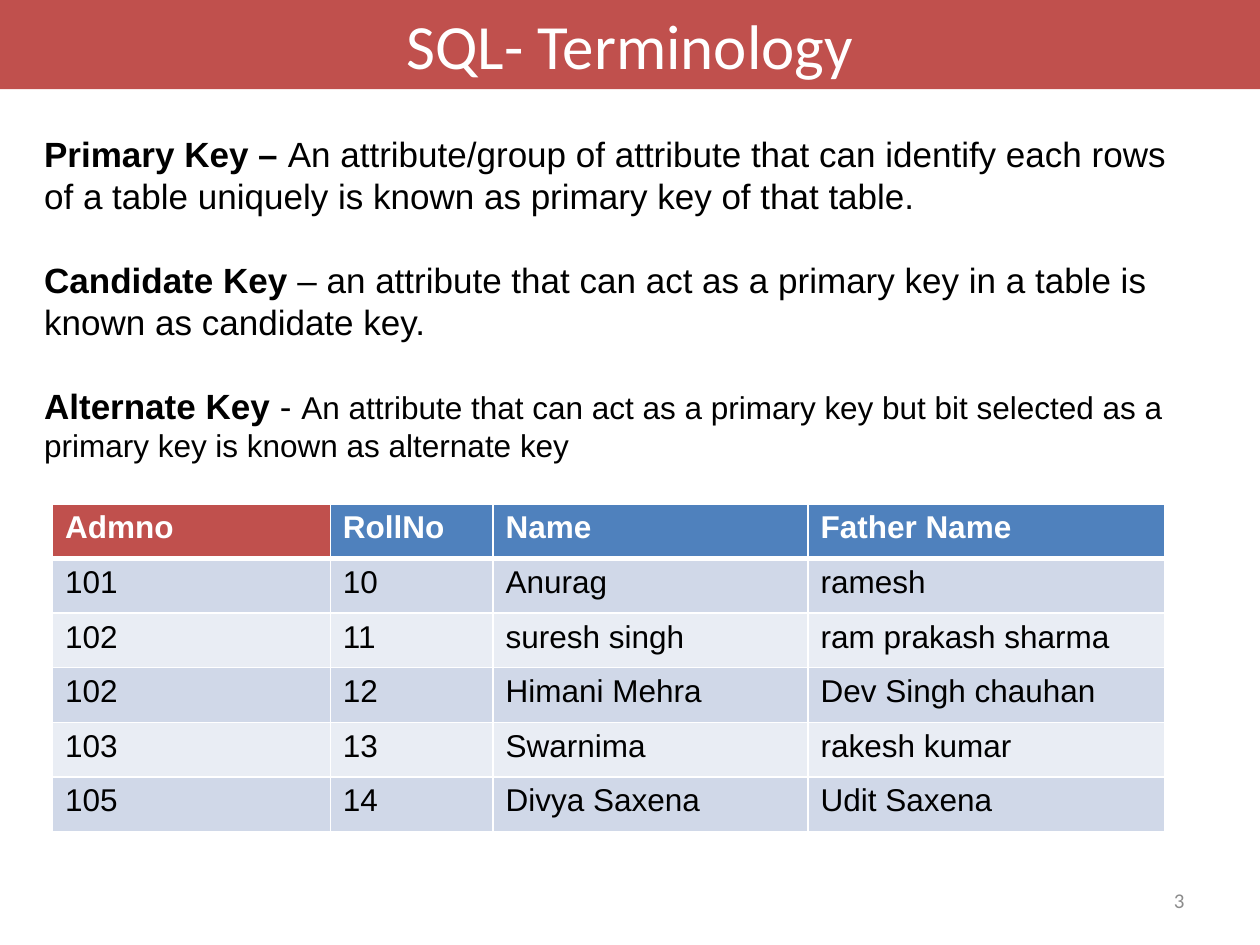
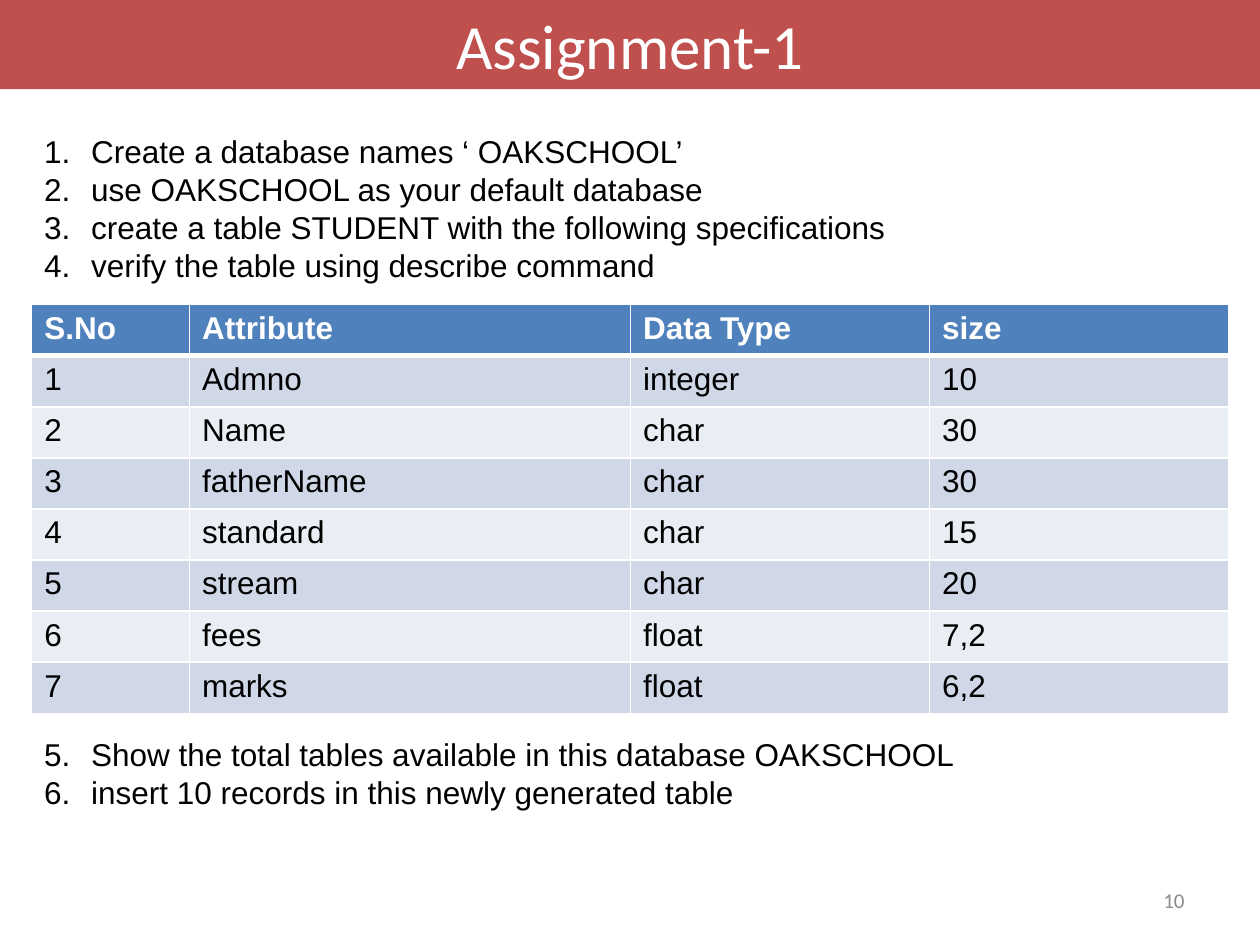
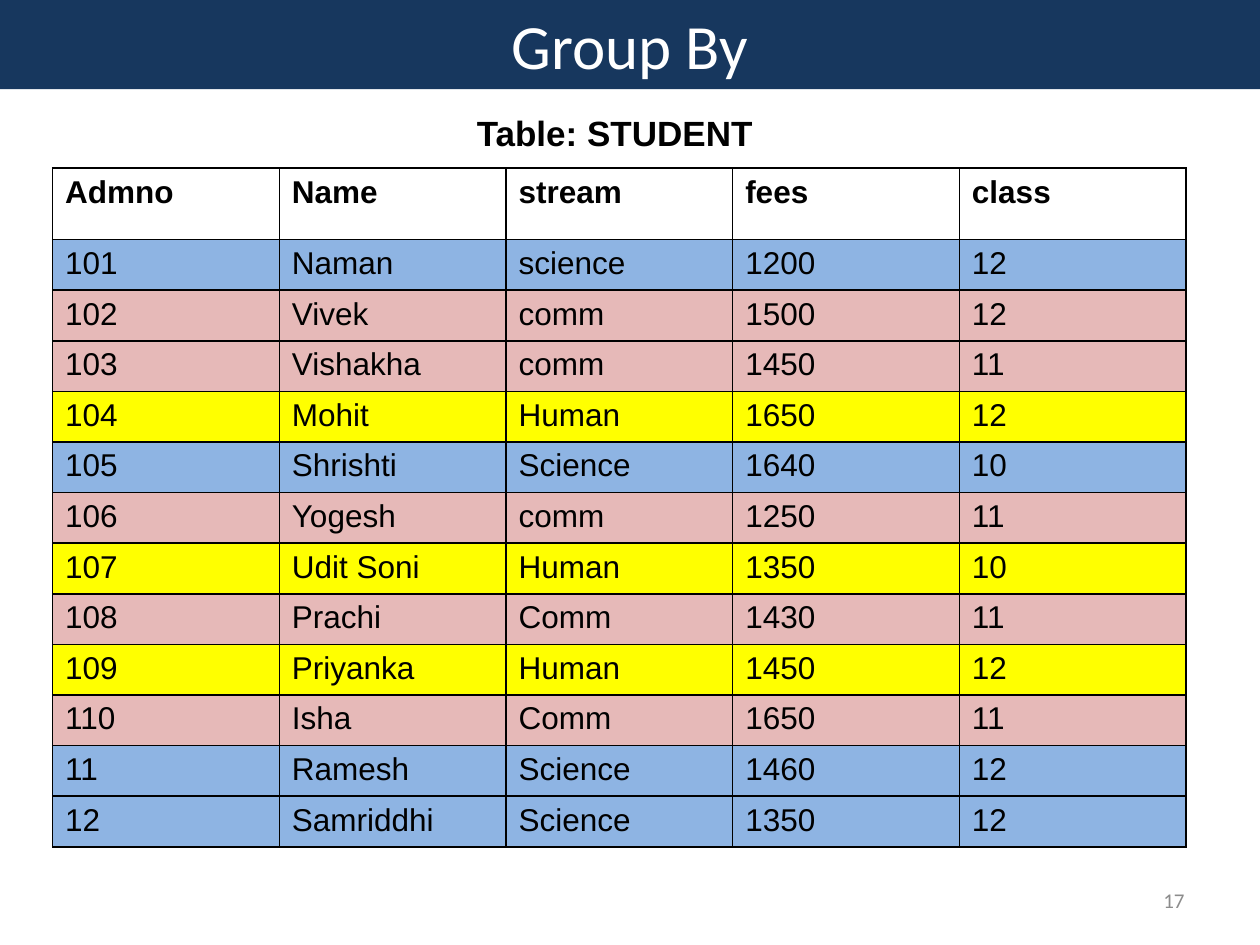
from dataclasses import dataclass

from lxml import etree
from pptx import Presentation
from pptx import util as u
from pptx.dml import color
from pptx.enum import shapes, text
from pptx.oxml import ns


@dataclass(frozen=True)
class Theme:
    heading_font: str = "Calibri"
    body_font: str = "Arial"
    red: str = "C0504D"
    navy: str = "17375E"
    blue: str = "4F81BD"
    band_dark: str = "D0D8E8"
    band_light: str = "E9EDF4"
    white: str = "FFFFFF"
    black: str = "000000"
    grey: str = "8C8C8C"
    title_size: int = 36
    lead_size: int = 20
    body_size: int = 18
    number_size: int = 12


THEME = Theme()
STREAM_FILLS = {"science": "8EB4E3", "comm": "E6B9B8", "human": "FFFF00"}

KEYS = [
    [("Primary Key – ", True, THEME.lead_size),
     ("An attribute/group of attribute that can identify each rows of a table "
      "uniquely is known as primary key of that table.", False, THEME.lead_size)],
    [("Candidate Key", True, THEME.lead_size),
     (" – an attribute that can act as a primary key in a table is known as "
      "candidate key.", False, THEME.lead_size)],
    [("Alternate Key", True, THEME.lead_size),
     (" - ", False, THEME.lead_size),
     ("An attribute that can act as a primary key but bit selected as a "
      "primary key is known as alternate key", False, THEME.body_size)],
]
ADMISSIONS = [
    ("Admno", "RollNo", "Name", "Father Name"),
    ("101", "10", "Anurag", "ramesh"),
    ("102", "11", "suresh singh", "ram prakash sharma"),
    ("102", "12", "Himani Mehra", "Dev Singh chauhan"),
    ("103", "13", "Swarnima", "rakesh kumar"),
    ("105", "14", "Divya Saxena", "Udit Saxena"),
]
TASKS_BEFORE_TABLE = [
    "Create a database names ‘ OAKSCHOOL’",
    "use OAKSCHOOL as your default database",
    "create a table STUDENT with the following specifications",
    "verify the table using describe command",
]
TASKS_AFTER_TABLE = [
    "Show the total tables available in this database OAKSCHOOL",
    "insert 10 records in this newly generated table",
]
ATTRIBUTES = [
    ("S.No", "Attribute", "Data Type", "size"),
    ("1", "Admno", "integer", "10"),
    ("2", "Name", "char", "30"),
    ("3", "fatherName", "char", "30"),
    ("4", "standard", "char", "15"),
    ("5", "stream", "char", "20"),
    ("6", "fees", "float", "7,2"),
    ("7", "marks", "float", "6,2"),
]
STUDENTS = [
    ("Admno", "Name", "stream", "fees", "class"),
    ("101", "Naman", "science", "1200", "12"),
    ("102", "Vivek", "comm", "1500", "12"),
    ("103", "Vishakha", "comm", "1450", "11"),
    ("104", "Mohit", "Human", "1650", "12"),
    ("105", "Shrishti", "Science", "1640", "10"),
    ("106", "Yogesh", "comm", "1250", "11"),
    ("107", "Udit Soni", "Human", "1350", "10"),
    ("108", "Prachi", "Comm", "1430", "11"),
    ("109", "Priyanka", "Human", "1450", "12"),
    ("110", "Isha", "Comm", "1650", "11"),
    ("11", "Ramesh", "Science", "1460", "12"),
    ("12", "Samriddhi", "Science", "1350", "12"),
]


def rgb(value):
    return color.RGBColor.from_string(value)


def format_run(run, size, fill=THEME.black, bold=False, font=THEME.body_font):
    run.font.name = font
    run.font.size = u.Pt(size)
    run.font.bold = bold
    run.font.color.rgb = rgb(fill)


def add_text_box(slide, left, top, width, height):
    shape = slide.shapes.add_textbox(u.Cm(left), u.Cm(top), u.Cm(width), u.Cm(height))
    shape.text_frame.word_wrap = True
    return shape.text_frame


def add_line(frame, index, content):
    paragraph = frame.add_paragraph() if index else frame.paragraphs[0]
    paragraph.text = content
    return paragraph


def add_title_band(slide, title, fill):
    shape = slide.shapes.add_shape(
        shapes.MSO_SHAPE.RECTANGLE, 0, 0, u.Cm(25.4), u.Cm(1.8))
    shape.shadow.inherit = False
    shape.fill.solid()
    shape.fill.fore_color.rgb = rgb(fill)
    shape.line.fill.background()
    frame = shape.text_frame
    frame.text = title
    frame.vertical_anchor = text.MSO_ANCHOR.TOP
    paragraph = frame.paragraphs[0]
    paragraph.alignment = text.PP_ALIGN.CENTER
    format_run(paragraph.runs[0], THEME.title_size, THEME.white, font=THEME.heading_font)


def add_slide_number(slide, number):
    frame = add_text_box(slide, 18.2, 17.65, 5.93, 1.01)
    frame.text = str(number)
    frame.vertical_anchor = text.MSO_ANCHOR.MIDDLE
    paragraph = frame.paragraphs[0]
    paragraph.alignment = text.PP_ALIGN.RIGHT
    format_run(paragraph.runs[0], THEME.number_size, THEME.grey, font=THEME.heading_font)


def add_page(presentation, title, number, fill):
    slide = presentation.slides.add_slide(presentation.slide_layouts[6])
    add_slide_number(slide, number)
    add_title_band(slide, title, fill)
    return slide


def add_definitions(slide, definitions):
    frame = add_text_box(slide, 0.64, 2.54, 23.5, 7.01)
    for index, parts in enumerate(definitions):
        paragraph = add_line(frame, index, "")
        paragraph.space_before = u.Pt(24 if index else 0)
        for content, bold, size in parts:
            run = paragraph.add_run()
            run.text = content
            format_run(run, size, bold=bold)


def number_paragraph(paragraph):
    properties = paragraph._p.get_or_add_pPr()
    indent = u.Cm(0.95)
    properties.set("marL", str(indent))
    properties.set("indent", str(-indent))
    etree.SubElement(properties, ns.qn("a:buFont"), typeface="+mj-lt")
    etree.SubElement(properties, ns.qn("a:buAutoNum"), type="arabicPeriod")


def add_tasks(slide, before, after):
    frame = add_text_box(slide, 0.64, 2.54, 23.93, 17.2)
    for index, task in enumerate(before + after):
        paragraph = add_line(frame, index, task)
        if index == len(before):
            paragraph.space_before = u.Pt(258)
        number_paragraph(paragraph)
        format_run(paragraph.runs[0], THEME.body_size)


def add_caption(slide, caption):
    frame = add_text_box(slide, 1.07, 2.12, 22.65, 1.11)
    frame.text = caption
    paragraph = frame.paragraphs[0]
    paragraph.alignment = text.PP_ALIGN.CENTER
    format_run(paragraph.runs[0], THEME.lead_size, bold=True)


def set_borders(cell, fill, top, bottom):
    properties = cell._tc.get_or_add_tcPr()
    for side, width in (("L", 1), ("R", 1), ("T", top), ("B", bottom)):
        line = etree.SubElement(properties, ns.qn("a:ln" + side), w=str(u.Pt(width)))
        solid = etree.SubElement(line, ns.qn("a:solidFill"))
        etree.SubElement(solid, ns.qn("a:srgbClr"), val=fill)


def fill_cell(cell, fill):
    if fill:
        cell.fill.solid()
        cell.fill.fore_color.rgb = rgb(fill)
    else:
        cell.fill.background()


def add_grid(slide, rows, left, top, widths, heights, fill_for,
             header_color=THEME.white, border=THEME.white, header_rule=3):
    table = slide.shapes.add_table(
        len(rows), len(widths), u.Cm(left), u.Cm(top),
        u.Cm(sum(widths)), u.Cm(sum(heights))).table
    table.horz_banding = False
    for column, width in zip(table.columns, widths):
        column.width = u.Cm(width)
    for row, height in zip(table.rows, heights):
        row.height = u.Cm(height)
    for row_index, values in enumerate(rows):
        header = row_index == 0
        for column_index, value in enumerate(values):
            cell = table.cell(row_index, column_index)
            cell.text_frame.text = value
            format_run(cell.text_frame.paragraphs[0].runs[0], THEME.body_size,
                       header_color if header else THEME.black, bold=header)
            set_borders(cell, border,
                        top=header_rule if row_index == 1 else 1,
                        bottom=header_rule if header else 1)
            fill_cell(cell, fill_for(row_index, column_index))


def banded_fill(row, column):
    if row == 0:
        return THEME.blue
    return THEME.band_dark if row % 2 else THEME.band_light


def primary_key_fill(row, column):
    return THEME.red if row == column == 0 else banded_fill(row, column)


def stream_fill(row, column):
    return STREAM_FILLS[STUDENTS[row][2].lower()] if row else None


def build_terminology(presentation):
    slide = add_page(presentation, "SQL- Terminology", 3, THEME.red)
    add_definitions(slide, KEYS)
    add_grid(slide, ADMISSIONS, 1.06, 10.16, [5.6, 3.28, 6.35, 7.2],
             [1.1] * len(ADMISSIONS), primary_key_fill)


def build_assignment(presentation):
    slide = add_page(presentation, "Assignment-1", 10, THEME.red)
    add_tasks(slide, TASKS_BEFORE_TABLE, TASKS_AFTER_TABLE)
    add_grid(slide, ATTRIBUTES, 0.64, 6.14, [3.18, 8.89, 6.03, 6.03],
             [1.03] * len(ATTRIBUTES), banded_fill)


def build_group_by(presentation):
    slide = add_page(presentation, "Group By", 17, THEME.navy)
    add_grid(slide, STUDENTS, 1.06, 3.39, [4.57] * 5,
             [1.44] + [1.02] * (len(STUDENTS) - 1), stream_fill,
             header_color=THEME.black, border=THEME.black, header_rule=1)
    add_caption(slide, "Table: STUDENT")


def main():
    presentation = Presentation()
    presentation.slide_width = u.Cm(25.4)
    presentation.slide_height = u.Cm(19.05)
    build_terminology(presentation)
    build_assignment(presentation)
    build_group_by(presentation)
    presentation.save("out.pptx")


main()
